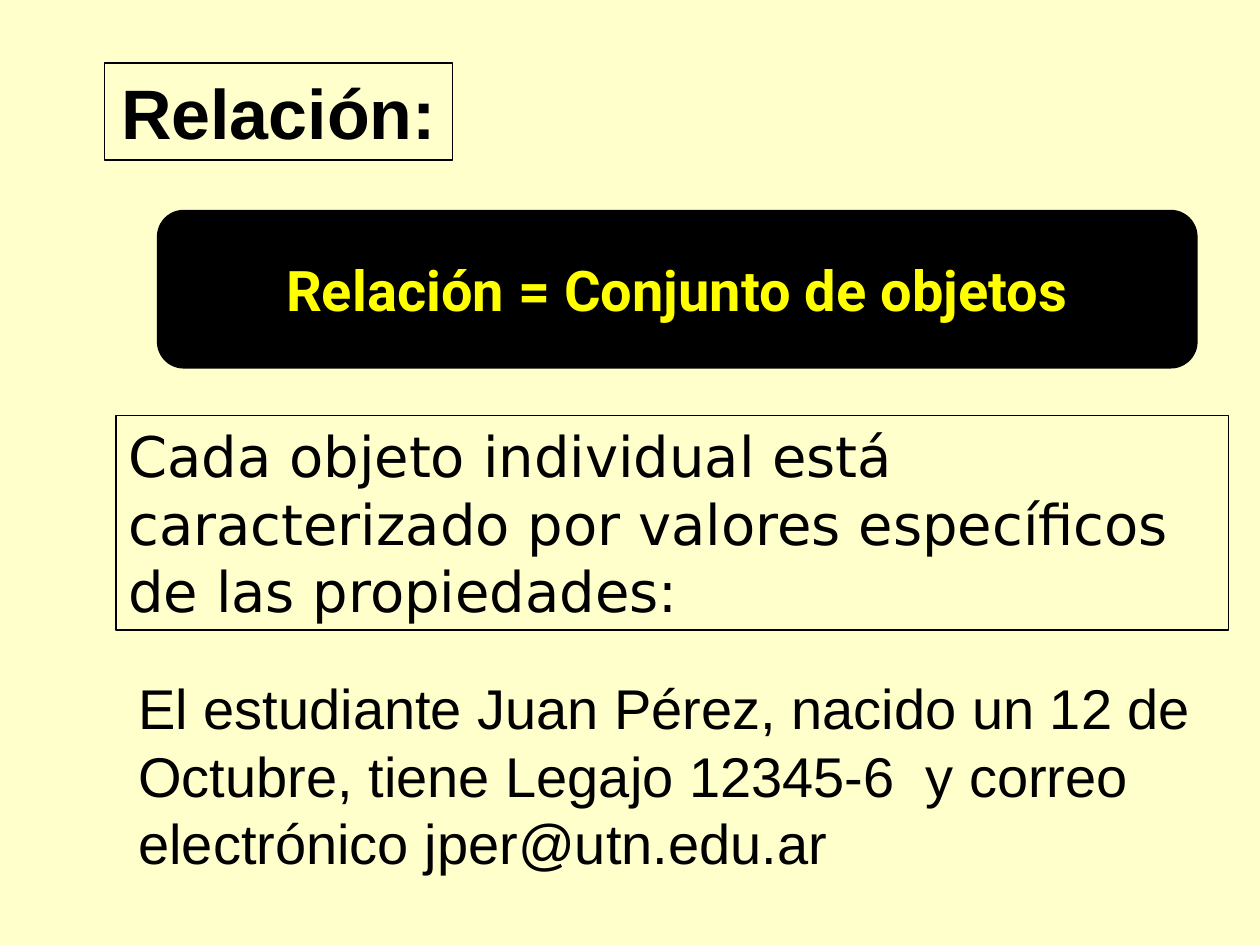
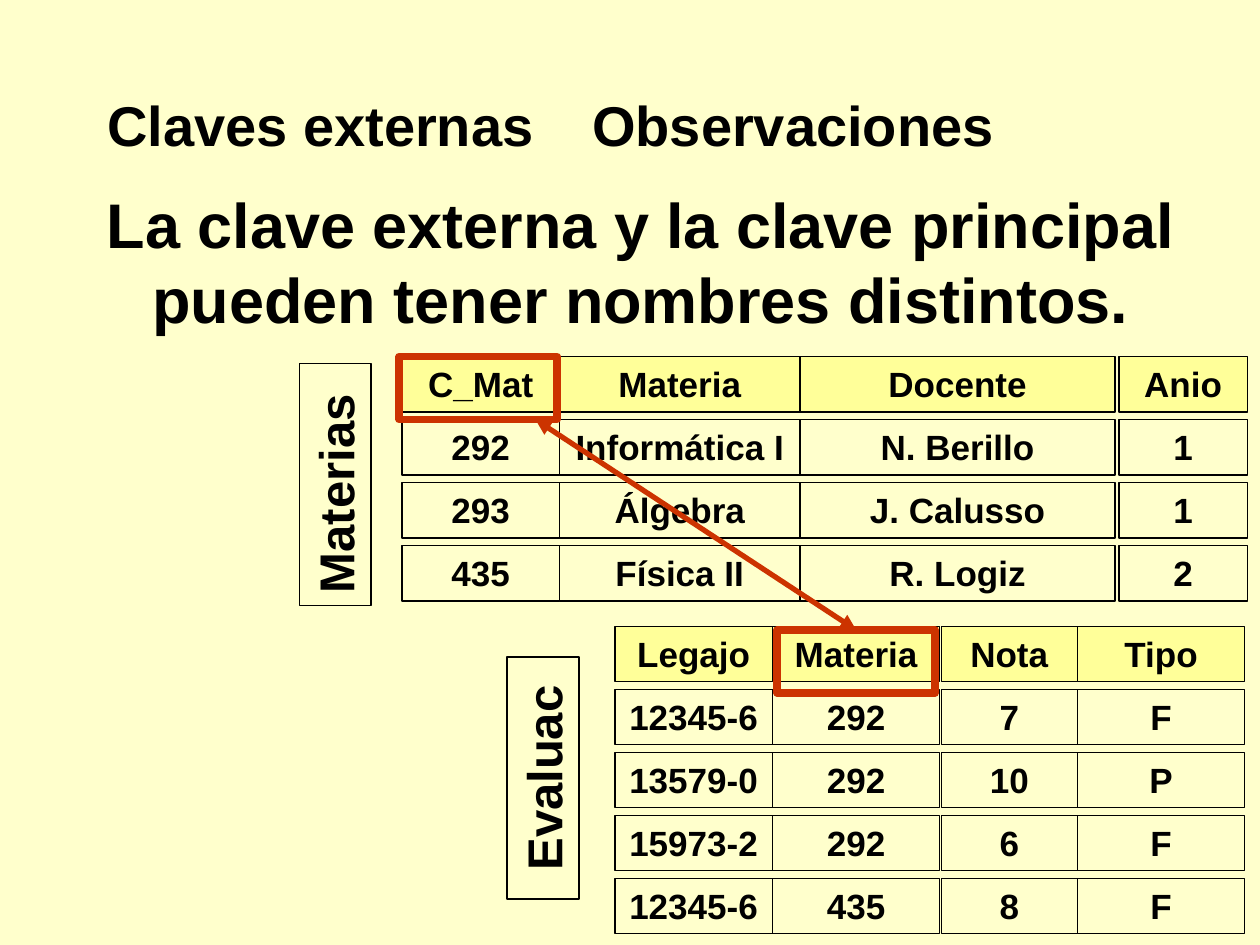
from dataclasses import dataclass

from lxml import etree
from pptx import Presentation
from pptx.dml.color import RGBColor
from pptx.enum.shapes import MSO_CONNECTOR, MSO_SHAPE
from pptx.enum.text import MSO_ANCHOR, MSO_AUTO_SIZE, PP_ALIGN
from pptx.oxml.ns import qn
from pptx.util import Inches, Pt

RECTANGLE = MSO_SHAPE.RECTANGLE
ROUNDED_RECTANGLE = MSO_SHAPE.ROUNDED_RECTANGLE
STRAIGHT = MSO_CONNECTOR.STRAIGHT
TOP, MIDDLE = MSO_ANCHOR.TOP, MSO_ANCHOR.MIDDLE
LEFT, CENTER = PP_ALIGN.LEFT, PP_ALIGN.CENTER
NO_AUTOFIT = MSO_AUTO_SIZE.NONE
TITLE_ONLY = 5
TOP_SIDE = 0


@dataclass(frozen=True)
class Theme:
    background: RGBColor = RGBColor(0xFF, 0xFF, 0xCC)
    header: RGBColor = RGBColor(0xFF, 0xFF, 0x99)
    ink: RGBColor = RGBColor(0x00, 0x00, 0x00)
    banner_text: RGBColor = RGBColor(0xFF, 0xFF, 0x00)
    key: RGBColor = RGBColor(0xCC, 0x33, 0x00)
    font: str = "Arial"
    statement_font: str = "DejaVu Sans"
    banner_font: str = "Roboto"
    title_size: int = 40
    claim_size: int = 36
    body_size: int = 32
    label_size: int = 28
    cell_size: int = 20
    thin_line: float = 0.75
    arrow_line: float = 3
    key_line: float = 4.5


THEME = Theme()
ROW_HEIGHT = 0.44
ROW_PITCH = 0.5


def inches(box):
    return [Inches(value) for value in box]


def write_text(shape, text, size, bold=False, align=LEFT, anchor=TOP,
               font=THEME.font, color=THEME.ink):
    frame = shape.text_frame
    frame.text = text
    frame.word_wrap = True
    frame.auto_size = NO_AUTOFIT
    frame.vertical_anchor = anchor
    paragraph = frame.paragraphs[0]
    paragraph.alignment = align
    paragraph.font.name = font
    paragraph.font.size = Pt(size)
    paragraph.font.bold = bold
    paragraph.font.color.rgb = color


def outline(shape, color=THEME.ink, width=THEME.thin_line):
    shape.line.color.rgb = color
    shape.line.width = Pt(width)


def add_box(slide, box, fill=None, kind=RECTANGLE):
    shape = slide.shapes.add_shape(kind, *inches(box))
    shape.shadow.inherit = False
    if fill is None:
        shape.fill.background()
    else:
        shape.fill.solid()
        shape.fill.fore_color.rgb = fill
    outline(shape)
    return shape


def add_text(slide, box, text, size, **style):
    write_text(slide.shapes.add_textbox(*inches(box)), text, size, **style)


def add_titled_slide(presentation, box, text, size, align=LEFT):
    slide = presentation.slides.add_slide(presentation.slide_layouts[TITLE_ONLY])
    title = slide.shapes.title
    title.left, title.top, title.width, title.height = inches(box)
    write_text(title, text, size, bold=True, align=align)
    return slide


def add_tab_stop(paragraph, position):
    properties = paragraph._p.get_or_add_pPr()
    tabs = etree.Element(qn("a:tabLst"))
    etree.SubElement(tabs, qn("a:tab"), pos=str(Inches(position)), algn="l")
    properties.insert_element_before(tabs, "a:defRPr", "a:extLst")


def add_relation(slide, top, columns, rows):
    for row_index, row in enumerate(rows):
        fill = THEME.header if row_index == 0 else None
        row_top = top + row_index * ROW_PITCH
        for (left, width), text in zip(columns, row):
            cell = add_box(slide, (left, row_top, width, ROW_HEIGHT), fill)
            write_text(cell, text, THEME.cell_size, bold=True, align=CENTER)


def add_relation_name(slide, left, top, name, align=LEFT):
    label = add_box(slide, (left, top, 1.92, 0.57))
    label.rotation = 270
    write_text(label, name, THEME.label_size, bold=True, align=align)


def add_key_frame(slide, left, top):
    frame = add_box(slide, (left, top, 1.25, 0.5))
    outline(frame, THEME.key, THEME.key_line)
    return frame


def add_key_arrow(slide, start, target):
    arrow = slide.shapes.add_connector(STRAIGHT, *inches(start + start))
    arrow.end_connect(target, TOP_SIDE)
    outline(arrow, THEME.key, THEME.arrow_line)
    line = arrow.line._get_or_add_ln()
    for end in ("a:headEnd", "a:tailEnd"):
        etree.SubElement(line, qn(end), type="triangle")
    etree.SubElement(arrow._element.spPr, qn("a:effectLst"))


def build_relation_slide(presentation):
    slide = add_titled_slide(presentation, (0.83, 0.5, 2.76, 0.77), "Relación:",
                             THEME.title_size, CENTER)
    outline(slide.shapes.title)
    banner = add_box(slide, (1.25, 1.67, 8.25, 1.25), THEME.ink, ROUNDED_RECTANGLE)
    write_text(banner, "Relación = Conjunto de objetos", THEME.body_size, bold=True,
               align=CENTER, anchor=MIDDLE, font=THEME.banner_font,
               color=THEME.banner_text)
    statement = add_box(slide, (0.92, 3.3, 8.83, 1.7))
    write_text(statement, "Cada objeto individual está caracterizado por valores "
               "específicos de las propiedades:", THEME.body_size,
               font=THEME.statement_font)
    add_text(slide, (1, 5.3, 8.58, 1.7),
             "El estudiante Juan Pérez, nacido un 12 de Octubre, tiene Legajo "
             "12345-6  y correo electrónico jper@utn.edu.ar", THEME.body_size)


def build_foreign_key_slide(presentation):
    slide = add_titled_slide(presentation, (0.75, 0.67, 7.33, 0.64),
                             "Claves externas\tObservaciones", THEME.body_size)
    add_tab_stop(slide.shapes.title.text_frame.paragraphs[0], 3.85)
    add_text(slide, (0.42, 1.42, 9.33, 1.3),
             "La clave externa y la clave principal pueden tener nombres distintos.",
             THEME.claim_size, bold=True, align=CENTER)

    add_relation(slide, 2.83, [(3.19, 1.25), (4.44, 1.91), (6.35, 2.5), (8.88, 1.02)], [
        ("C_Mat", "Materia", "Docente", "Anio"),
        ("292", "Informática I", "N. Berillo", "1"),
        ("293", "Álgebra", "J. Calusso", "1"),
        ("435", "Física II", "R. Logiz", "2"),
    ])
    add_relation_name(slide, 1.7, 3.56, "Materias")

    add_relation(slide, 4.97, [(4.88, 1.25), (6.13, 1.33), (7.47, 1.08), (8.55, 1.33)], [
        ("Legajo", "Materia", "Nota", "Tipo"),
        ("12345-6", "292", "7", "F"),
        ("13579-0", "292", "10", "P"),
        ("15973-2", "292", "6", "F"),
        ("12345-6", "435", "8", "F"),
    ])
    add_relation_name(slide, 3.35, 5.89, "Evaluac", CENTER)

    add_key_frame(slide, 3.17, 2.83)
    foreign_key = add_key_frame(slide, 6.17, 5)
    add_key_arrow(slide, (4.25, 3.33), foreign_key)


def main():
    presentation = Presentation()
    presentation.slide_width = Inches(10)
    presentation.slide_height = Inches(7.5)
    background = presentation.slide_master.background.fill
    background.solid()
    background.fore_color.rgb = THEME.background
    build_relation_slide(presentation)
    build_foreign_key_slide(presentation)
    presentation.save("out.pptx")


if __name__ == "__main__":
    main()
